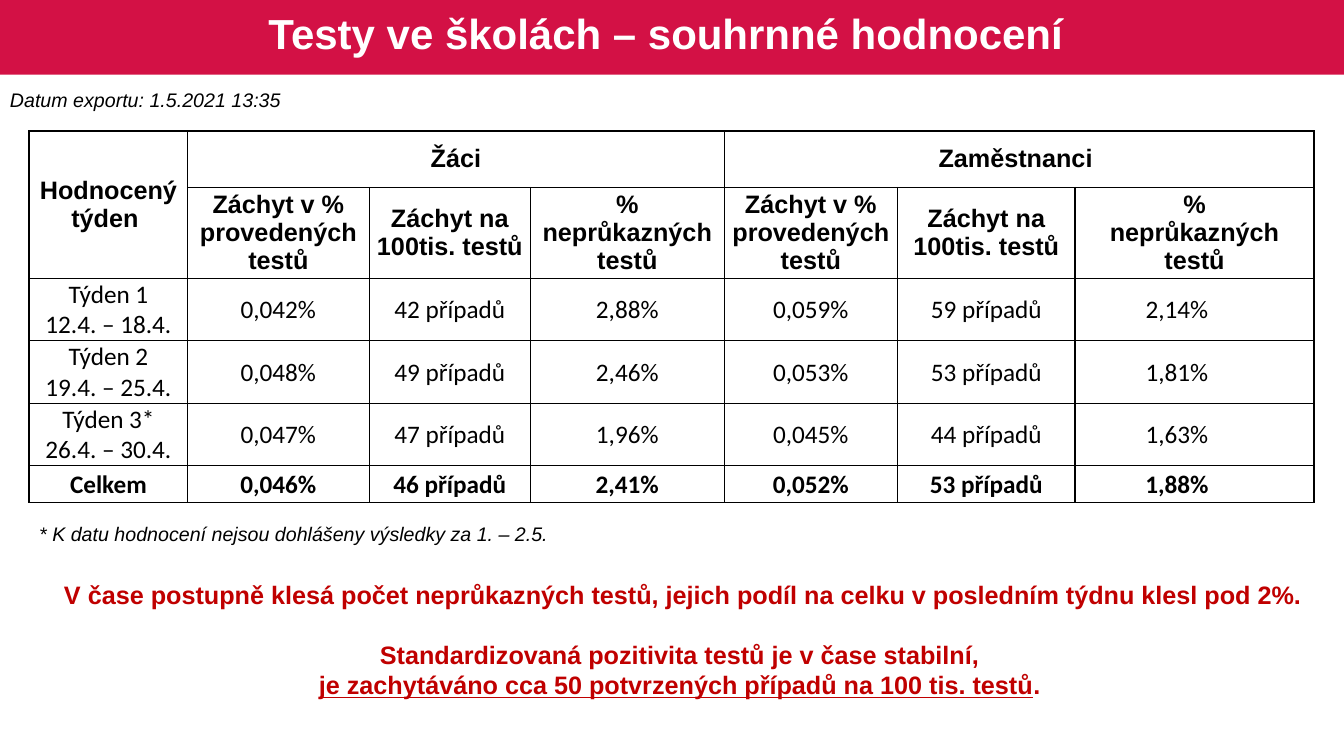
from dataclasses import dataclass

from lxml import etree
from pptx import Presentation
from pptx.dml.color import RGBColor
from pptx.enum.shapes import MSO_SHAPE
from pptx.enum.text import MSO_ANCHOR, MSO_AUTO_SIZE, PP_ALIGN
from pptx.oxml.ns import qn
from pptx.util import Inches, Pt

RECTANGLE = MSO_SHAPE.RECTANGLE
MIDDLE, TOP = MSO_ANCHOR.MIDDLE, MSO_ANCHOR.TOP
LEFT, CENTER = PP_ALIGN.LEFT, PP_ALIGN.CENTER
FIT_SHAPE = MSO_AUTO_SIZE.SHAPE_TO_FIT_TEXT
SLIDE_W, SLIDE_H = Inches(13.33), Inches(7.5)


@dataclass(frozen=True)
class Theme:
    band: str = "D31145"
    white: str = "FFFFFF"
    ink: str = "000000"
    accent: str = "C00000"
    heading_font: str = "Arial"
    data_font: str = "Calibri"
    title_size: int = 30
    body_size: int = 18
    note_size: int = 14
    paragraph_gap: int = 21
    outer_line: float = 1.5
    inner_line: float = 1


THEME = Theme()

# Relative column widths and row heights of the results table
COLUMNS = [1.57, 1.8, 1.6, 1.92, 1.72, 1.76, 2.02, 0.35]
ROWS = [0.56, 0.84, 0.62, 0.62, 0.62, 0.37]
HEADER_ROWS = 2

# Header cells: (row, column, row span, column span, paragraphs)
HEADERS = [
    (0, 0, 2, 1, ["Hodnocený týden "]),
    (0, 1, 1, 3, ["Žáci"]),
    (0, 4, 1, 4, ["Zaměstnanci "]),
    (1, 1, 1, 1, ["Záchyt v % provedených testů"]),
    (1, 2, 1, 1, ["Záchyt na 100tis. testů"]),
    (1, 3, 1, 1, ["% neprůkazných testů"]),
    (1, 4, 1, 1, ["Záchyt v % provedených testů"]),
    (1, 5, 1, 1, ["Záchyt na 100tis. testů"]),
    (1, 6, 1, 2, ["%", "neprůkazných testů"]),
]
RESULTS = [
    (["Týden 1", "12.4. – 18.4."], "0,042%", "42 případů", "2,88%", "0,059%", "59 případů", "2,14%"),
    (["Týden 2", "19.4. – 25.4."], "0,048%", "49 případů", "2,46%", "0,053%", "53 případů", "1,81%"),
    (["Týden 3*", "26.4. – 30.4."], "0,047%", "47 případů", "1,96%", "0,045%", "44 případů", "1,63%"),
    (["Celkem"], "0,046%", "46 případů", "2,41%", "0,052%", "53 případů", "1,88%"),
]


def place(left, top, width, height):
    """Turn percentages of the slide into lengths."""
    return (int(SLIDE_W * left / 100), int(SLIDE_H * top / 100),
            int(SLIDE_W * width / 100), int(SLIDE_H * height / 100))


def add_run(paragraph, text, size, color, font=THEME.heading_font,
            bold=False, italic=False, underline=False):
    run = paragraph.add_run()
    run.text = text
    run.font.name = font
    run.font.size = Pt(size)
    run.font.color.rgb = RGBColor.from_string(color)
    run.font.bold, run.font.italic, run.font.underline = bold, italic, underline


def paragraphs_of(frame, count, align):
    while len(frame.paragraphs) < count:
        frame.add_paragraph()
    for paragraph in frame.paragraphs:
        paragraph.alignment = align
    return frame.paragraphs


def add_text_frame(slide, area, wrap=True, anchor=TOP):
    frame = slide.shapes.add_textbox(*place(*area)).text_frame
    frame.word_wrap = wrap
    frame.vertical_anchor = anchor
    return frame


def add_title(slide, text):
    band = slide.shapes.add_shape(RECTANGLE, *place(0, 0, 100, 9.87))
    band.shadow.inherit = False
    band.fill.solid()
    band.fill.fore_color.rgb = RGBColor.from_string(THEME.band)
    band.line.fill.background()
    frame = add_text_frame(slide, (1.35, 0.53, 97.3, 8.4), anchor=MIDDLE)
    heading = paragraphs_of(frame, 1, CENTER)[0]
    heading.line_spacing = 0.9
    add_run(heading, text, THEME.title_size, THEME.white, bold=True)


def add_note(slide, text, area):
    frame = add_text_frame(slide, area, wrap=False)
    frame.auto_size = FIT_SHAPE
    note = paragraphs_of(frame, 1, LEFT)[0]
    add_run(note, text, THEME.note_size, THEME.ink, italic=True)


def add_conclusions(slide, lines, area):
    """Each line is (space before, [(text, underlined), ...])."""
    frame = add_text_frame(slide, area)
    frame.auto_size = FIT_SHAPE
    for paragraph, (gap, parts) in zip(paragraphs_of(frame, len(lines), CENTER), lines):
        if gap:
            paragraph.space_before = Pt(gap)
        for text, underlined in parts:
            add_run(paragraph, text, THEME.body_size, THEME.accent,
                    bold=True, underline=underlined)


def set_borders(cell, widths):
    """Widths in points for left, right, top, bottom; 0 means no line."""
    properties = cell._tc.get_or_add_tcPr()
    for side, width in zip("LRTB", widths):
        line = etree.SubElement(properties, qn(f"a:ln{side}"), w=str(Pt(width)))
        if width:
            fill = etree.SubElement(line, qn("a:solidFill"))
            etree.SubElement(fill, qn("a:srgbClr"), val=THEME.ink)
        else:
            etree.SubElement(line, qn("a:noFill"))


def format_cell(cell, row, column):
    is_data = row >= HEADER_ROWS
    last = len(COLUMNS) - 1
    inner, outer = THEME.inner_line, THEME.outer_line
    # The last value column and the narrow margin column share one open field
    set_borders(cell, (
        outer if column == 0 else 0 if is_data and column == last else inner,
        0 if is_data and column == last - 1 else inner,
        outer if row == 0 else inner,
        inner))
    cell.fill.background()
    cell.vertical_anchor = MIDDLE
    cell.margin_left = cell.margin_right = Inches(0.01 if is_data else 0.05)
    cell.margin_top = Inches(0.01 if is_data else 0)
    cell.margin_bottom = 0


def fill_cell(cell, lines, font, bold):
    for paragraph, text in zip(paragraphs_of(cell.text_frame, len(lines), CENTER), lines):
        add_run(paragraph, text, THEME.body_size, THEME.ink, font, bold)


def add_results_table(slide, area):
    left, top, width, height = place(*area)
    table = slide.shapes.add_table(len(ROWS), len(COLUMNS), left, top, width, height).table
    table.first_row = table.horz_banding = False
    for column, share in zip(table.columns, COLUMNS):
        column.width = int(width * share / sum(COLUMNS))
    for row, share in zip(table.rows, ROWS):
        row.height = int(height * share / sum(ROWS))
    for row in range(len(ROWS)):
        for column in range(len(COLUMNS)):
            format_cell(table.cell(row, column), row, column)

    # Grouped column headings
    for row, column, row_span, column_span, lines in HEADERS:
        cell = table.cell(row, column)
        if row_span * column_span > 1:
            cell.merge(table.cell(row + row_span - 1, column + column_span - 1))
        fill_cell(cell, lines, THEME.heading_font, bold=True)

    # Weekly results and the total
    for row, (week, *values) in enumerate(RESULTS, HEADER_ROWS):
        for column, lines in enumerate([week] + [[value] for value in values]):
            fill_cell(table.cell(row, column), lines, THEME.data_font,
                      bold=row == len(ROWS) - 1)


def main():
    deck = Presentation()
    deck.slide_width, deck.slide_height = SLIDE_W, SLIDE_H
    slide = deck.slides.add_slide(deck.slide_layouts[6])

    add_title(slide, "Testy ve školách – souhrnné hodnocení ")
    add_results_table(slide, (2.18, 17.33, 95.6, 48.4))
    add_note(slide, "Datum exportu: 1.5.2021 13:35", (0, 10.93, 22.58, 4.53))
    add_note(slide, "* K datu hodnocení nejsou dohlášeny výsledky za 1. – 2.5.",
             (2.18, 68.4, 39.53, 4.53))
    add_conclusions(slide, [
        (0, [("V čase postupně klesá počet neprůkazných testů, jejich podíl na celku "
              "v posledním týdnu klesl pod 2%.", False)]),
        (THEME.paragraph_gap, [("Standardizovaná pozitivita testů je v čase stabilní, ", False)]),
        (0, [("je zachytáváno cca 50 potvrzených případů na 100 tis. testů", True),
             (". ", False)]),
    ], (3, 76, 95.65, 17.47))

    deck.save("out.pptx")


if __name__ == "__main__":
    main()
